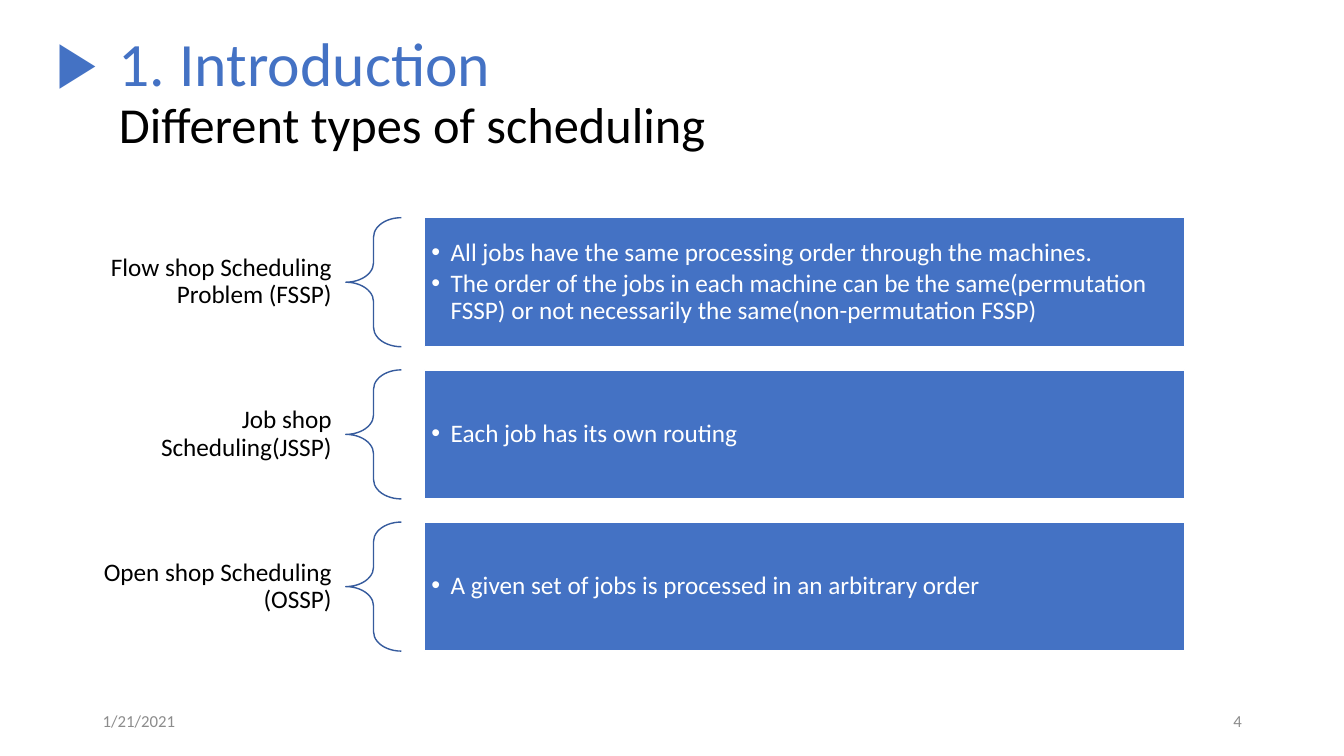
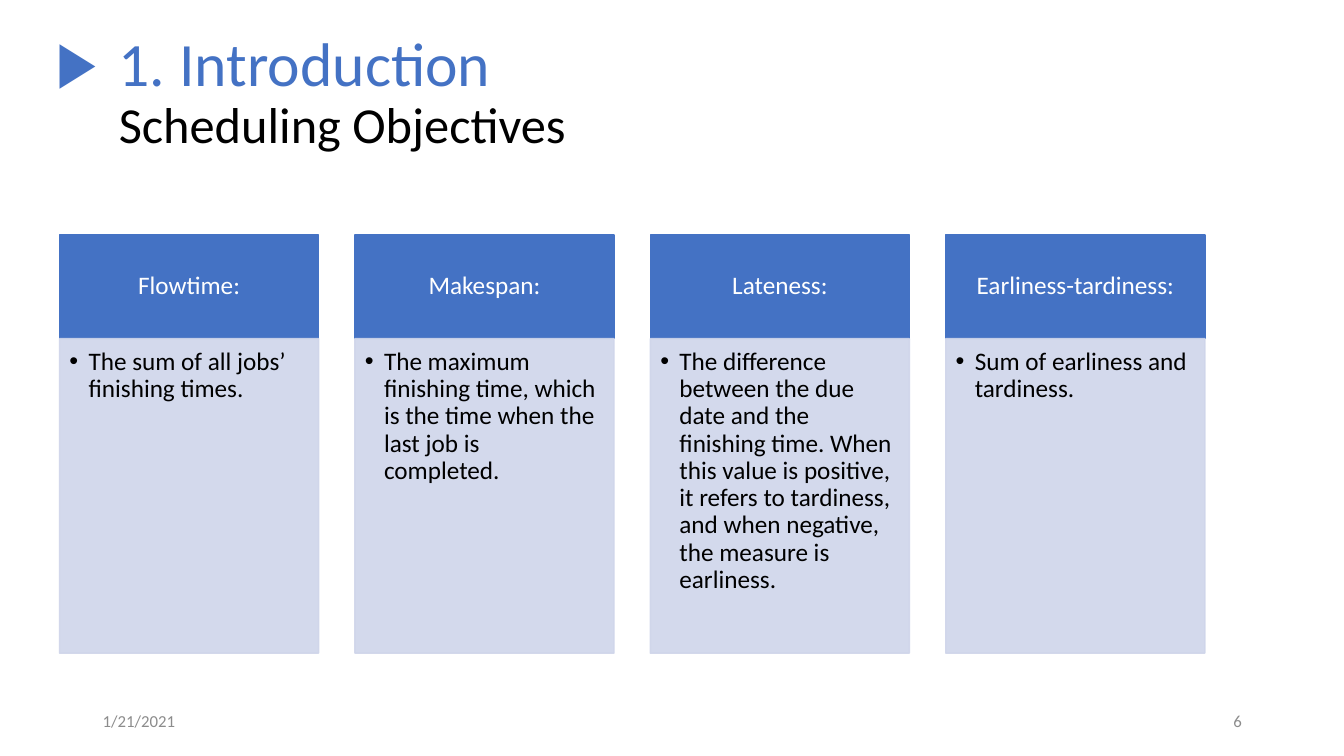
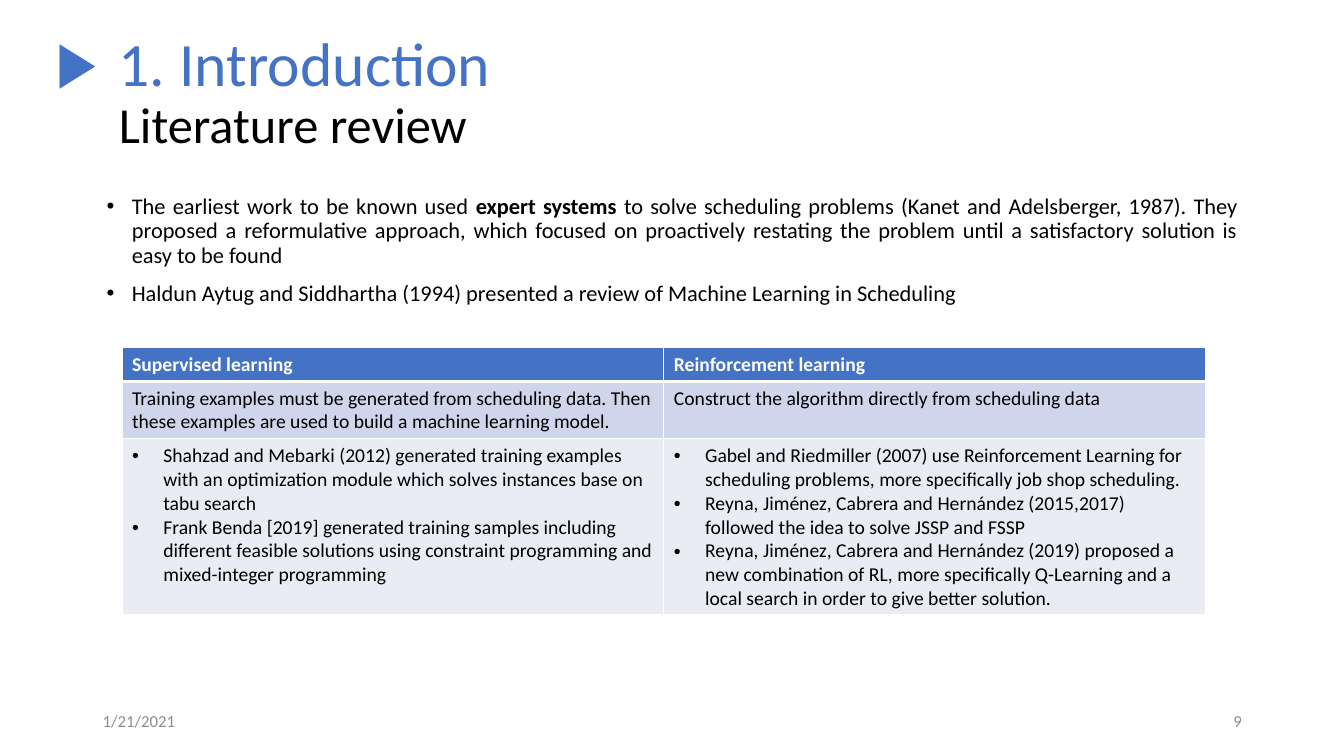
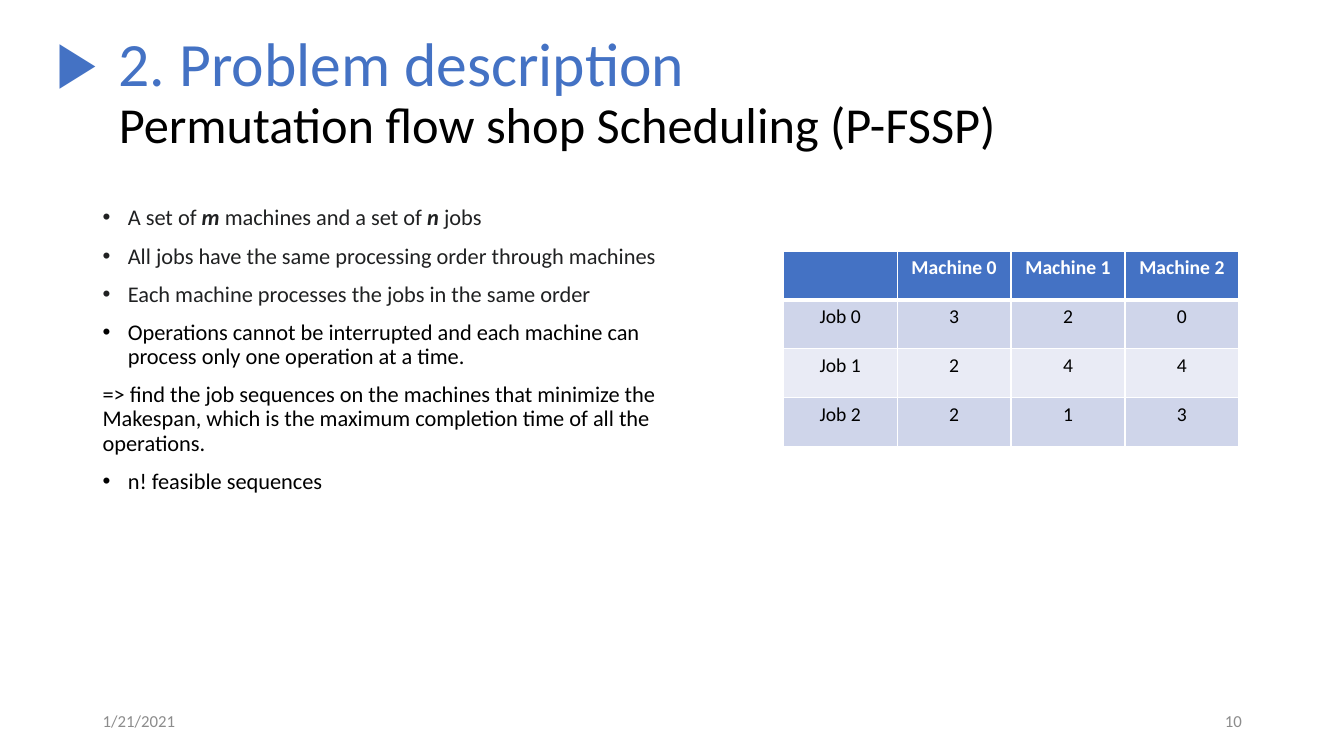
"""Four slides on scheduling problems, built on a grid of 100 columns by 100 rows."""
from lxml.etree import SubElement
from pptx import Presentation
from pptx.dml.color import RGBColor
from pptx.enum.shapes import MSO_SHAPE as SHAPE
from pptx.enum.text import MSO_ANCHOR as ANCHOR, PP_ALIGN as ALIGN
from pptx.oxml.ns import qn
from pptx.util import Inches, Pt

BLUE = RGBColor(0x44, 0x72, 0xC4)
DARK_BLUE = RGBColor(0x36, 0x5B, 0x9D)
PALE_BLUE = RGBColor(0xCF, 0xD5, 0xEA)
PALEST_BLUE = RGBColor(0xE9, 0xEB, 0xF5)
WHITE = RGBColor(0xFF, 0xFF, 0xFF)
BLACK = RGBColor(0x00, 0x00, 0x00)
CHARCOAL = RGBColor(0x20, 0x21, 0x22)
GREY = RGBColor(0x8C, 0x8C, 0x8C)
FONT = "Calibri"

deck = Presentation()
deck.slide_width, deck.slide_height = Inches(13.33), Inches(7.5)
COL, ROW = deck.slide_width / 100, deck.slide_height / 100


def place(slide, kind, area, fill=None, line=None, insets=(0.1, 0.05, 0.1, 0.05), anchor=ANCHOR.MIDDLE):
    left, top, width, height = (int(n * unit) for n, unit in zip(area, (COL, ROW, COL, ROW)))
    if kind is None:
        shape = slide.shapes.add_textbox(left, top, width, height)
    else:
        shape = slide.shapes.add_shape(kind, left, top, width, height)
        shape.shadow.inherit = False
        shape.line.color.rgb = line
        shape.line.width = Pt(1)
        if fill is None:
            shape.fill.background()
        else:
            shape.fill.solid()
            shape.fill.fore_color.rgb = fill
    frame = shape.text_frame
    frame.word_wrap = True
    frame.vertical_anchor = anchor
    for side, inset in zip(("left", "top", "right", "bottom"), insets):
        setattr(frame, f"margin_{side}", Inches(inset))
    return shape


def write(frame, runs, size, color=BLACK, bullet="", indent=0, **spacing):
    paragraph = frame.add_paragraph() if frame.text else frame.paragraphs[0]
    for name, value in {"alignment": ALIGN.LEFT, **spacing}.items():
        setattr(paragraph, name, value)
    for text, look in [(runs, {})] if isinstance(runs, str) else runs:
        if text == "\n":
            paragraph.add_line_break()
            continue
        run = paragraph.add_run()
        run.text = text
        look = {"name": FONT, "size": Pt(size), "bold": False, "color": color, **look}
        run.font.color.rgb = look.pop("color")
        for name, value in look.items():
            setattr(run.font, name, value)
    if bullet:
        properties = paragraph._p.get_or_add_pPr()
        properties.set("marL", str(Inches(indent)))
        properties.set("indent", str(-Inches(indent)))
        SubElement(properties, qn("a:buFont")).set("typeface", "Arial")
        SubElement(properties, qn("a:buChar")).set("char", bullet)


slides = []
for section, topic, page in (
    ("1. Introduction", "Different types of scheduling", "4"),
    ("1. Introduction", "Scheduling Objectives", "6"),
    ("1. Introduction", "Literature review", "9"),
    ("2. Problem description", "Permutation flow shop Scheduling (P-FSSP)", "10"),
):
    slide = deck.slides.add_slide(deck.slide_layouts[6])
    title = place(slide, None, (3.45, 2.8, 86.25, 19.33))
    heading = [(section, {"color": BLUE}), ("\n", {}), (topic, {"size": Pt(36), "color": BLACK})]
    write(title.text_frame, heading, 44, bullet="▶", indent=0.62, line_spacing=0.9)
    for left, footer, alignment in ((6.9, "1/21/2021", ALIGN.LEFT), (70.65, page, ALIGN.RIGHT)):
        box = place(slide, None, (left, 92.7, 22.5, 5.33))
        write(box.text_frame, footer, 12, GREY, alignment=alignment)
    slides.append(slide)
types_slide, objectives_slide, literature_slide, problem_slide = slides

LIST_ITEM = {"bullet": "•", "indent": 0.19, "line_spacing": 0.9, "space_after": Pt(3)}

scheduling_types = (
    ("Flow shop Scheduling Problem (FSSP)", (
        "All jobs have the same processing order through the machines.",
        "The order of the jobs in each machine can be the same(permutation FSSP) "
        "or not necessarily the same(non-permutation FSSP)",
    )),
    ("Job shop Scheduling(JSSP)", ("Each job has its own routing",)),
    ("Open shop Scheduling (OSSP)", ("A given set of jobs is processed in an arbitrary order",)),
)
for index, (kind, traits) in enumerate(scheduling_types):
    top, height = 28.8 + index * 20.13, 17.07
    label = place(types_slide, None, (4.95, top, 20.78, height), insets=(0.14, 0.05, 0.14, 0.05))
    write(label.text_frame, kind, 18, alignment=ALIGN.RIGHT, line_spacing=0.9)
    brace = place(types_slide, SHAPE.LEFT_BRACE, (25.73, top, 4.13, height), line=DARK_BLUE)
    brace.adjustments[0] = 0.35
    panel = place(types_slide, SHAPE.RECTANGLE, (31.58, top, 56.55, height), BLUE, WHITE, (0.07,) * 4)
    for trait in traits:
        write(panel.text_frame, trait, 18, WHITE, **LIST_ITEM)

objectives = (
    ("Flowtime:", "The sum of all jobs’ finishing times."),
    ("Makespan:", "The maximum finishing time, which is the time when the last job is completed."),
    ("Lateness:", "The difference between the due date and the finishing time. When this value is "
                  "positive, it refers to tardiness, and when negative, the measure is earliness."),
    ("Earliness-tardiness:", "Sum of earliness and tardiness."),
)
for index, (objective, meaning) in enumerate(objectives):
    left, width = 4.43 + index * 21.98, 19.28
    header = place(objectives_slide, SHAPE.RECTANGLE, (left, 31.07, width, 13.73), BLUE, BLUE,
                   (0.14, 0.08, 0.14, 0.08))
    write(header.text_frame, objective, 18, WHITE, alignment=ALIGN.CENTER, line_spacing=0.9)
    body = place(objectives_slide, SHAPE.RECTANGLE, (left, 44.8, width, 41.6), PALE_BLUE, PALE_BLUE,
                 (0.1, 0.1, 0.14, 0.16), ANCHOR.TOP)
    for tint in body._element.spPr.findall(".//" + qn("a:srgbClr")):
        SubElement(tint, qn("a:alpha")).set("val", "90000")
    write(body.text_frame, meaning, 18, **LIST_ITEM)

BODY = {"line_spacing": 0.9, "space_before": Pt(10)}
BODY_ITEM = {**BODY, "bullet": "•", "indent": 0.25}
VARIABLE = {"bold": True, "italic": True}

history = place(literature_slide, None, (7.2, 25.2, 85.65, 16.4), anchor=ANCHOR.TOP)
for runs in (
    [("The earliest work to be known used ", {}), ("expert systems ", {"bold": True}),
     ("to solve scheduling problems (Kanet and Adelsberger, 1987). They proposed a reformulative "
      "approach, which focused on proactively restating the problem until a satisfactory solution "
      "is easy to be found", {})],
    "Haldun Aytug and Siddhartha (1994) presented a review of Machine Learning in Scheduling",
):
    write(history.text_frame, runs, 16, alignment=ALIGN.JUSTIFY, **BODY_ITEM)

statement = place(problem_slide, None, (6.9, 26.67, 44.55, 47.47), anchor=ANCHOR.TOP)
for runs, color, style in (
    ([("A set of ", {}), ("m", VARIABLE), (" machines and a set of ", {}), ("n", VARIABLE), (" jobs", {})],
     CHARCOAL, BODY_ITEM),
    ("All jobs have the same processing order through machines", CHARCOAL, BODY_ITEM),
    ("Each machine processes the jobs in the same order", CHARCOAL, BODY_ITEM),
    ("Operations cannot be interrupted and each machine can process only one operation at a time.",
     BLACK, BODY_ITEM),
    ("=> find the job sequences on the machines that minimize the Makespan, which is the maximum "
     "completion time of all the operations.", BLACK, BODY),
    ("n! feasible sequences", BLACK, BODY_ITEM),
):
    write(statement.text_frame, runs, 16, color, **style)

learning_rows = (
    ("Supervised learning", "Reinforcement learning"),
    ("Training examples must be generated from scheduling data. Then these examples are used to "
     "build a machine learning model.",
     "Construct the algorithm directly from scheduling data"),
    (("Shahzad and Mebarki (2012) generated training examples with an optimization module which "
      "solves instances base on tabu search",
      "Frank Benda [2019] generated training samples including different feasible solutions using "
      "constraint programming and mixed-integer programming"),
     ("Gabel and Riedmiller (2007) use Reinforcement Learning for scheduling problems, more "
      "specifically job shop scheduling.",
      "Reyna, Jiménez, Cabrera and Hernández (2015,2017) followed the idea to solve JSSP and FSSP",
      "Reyna, Jiménez, Cabrera and Hernández (2019) proposed a new combination of RL, more "
      "specifically Q-Learning and a local search in order to give better solution.")),
)
duration_rows = (
    ("", "Machine 0", "Machine 1", "Machine 2"),
    ("Job 0", "3", "2", "0"),
    ("Job 1", "2", "4", "4"),
    ("Job 2", "2", "1", "3"),
)
for slide, left, top, width, heights, rows, alignment in (
    (literature_slide, 9.08, 46, 80.63, (4.4, 7.6, 23.2), learning_rows, ALIGN.LEFT),
    (problem_slide, 58.28, 33.2, 33.9, (6.47,) * 4, duration_rows, ALIGN.CENTER),
):
    table = slide.shapes.add_table(len(rows), len(rows[0]), int(left * COL), int(top * ROW),
                                   int(width * COL), int(sum(heights) * ROW)).table
    table.horz_banding = False
    for r, (height, row) in enumerate(zip(heights, rows)):
        table.rows[r].height = int(height * ROW)
        for c, content in enumerate(row):
            cell = table.cell(r, c)
            for side in "LRTB":
                thick = (r, side) in ((0, "B"), (1, "T"))
                border = SubElement(cell._tc.get_or_add_tcPr(), qn(f"a:ln{side}"), w=str(Pt(3 if thick else 1)))
                SubElement(SubElement(border, qn("a:solidFill")), qn("a:srgbClr"), val=str(WHITE))
            cell.fill.solid()
            cell.fill.fore_color.rgb = BLUE if r == 0 else PALE_BLUE if r % 2 else PALEST_BLUE
            if isinstance(content, tuple):
                for finding in content:
                    write(cell.text_frame, finding, 14, bullet="•", indent=0.31)
            elif content:
                write(cell.text_frame, [(content, {"bold": r == 0})], 14, BLACK if r else WHITE,
                      alignment=alignment)

for title_bullet in (slide.shapes[0].text_frame.paragraphs[0]._p.pPr for slide in slides):
    bullet_color = SubElement(title_bullet, qn("a:buClr"))
    SubElement(bullet_color, qn("a:srgbClr"), val=str(BLUE))
    title_bullet.find(qn("a:buFont")).addprevious(bullet_color)

deck.save("out.pptx")
